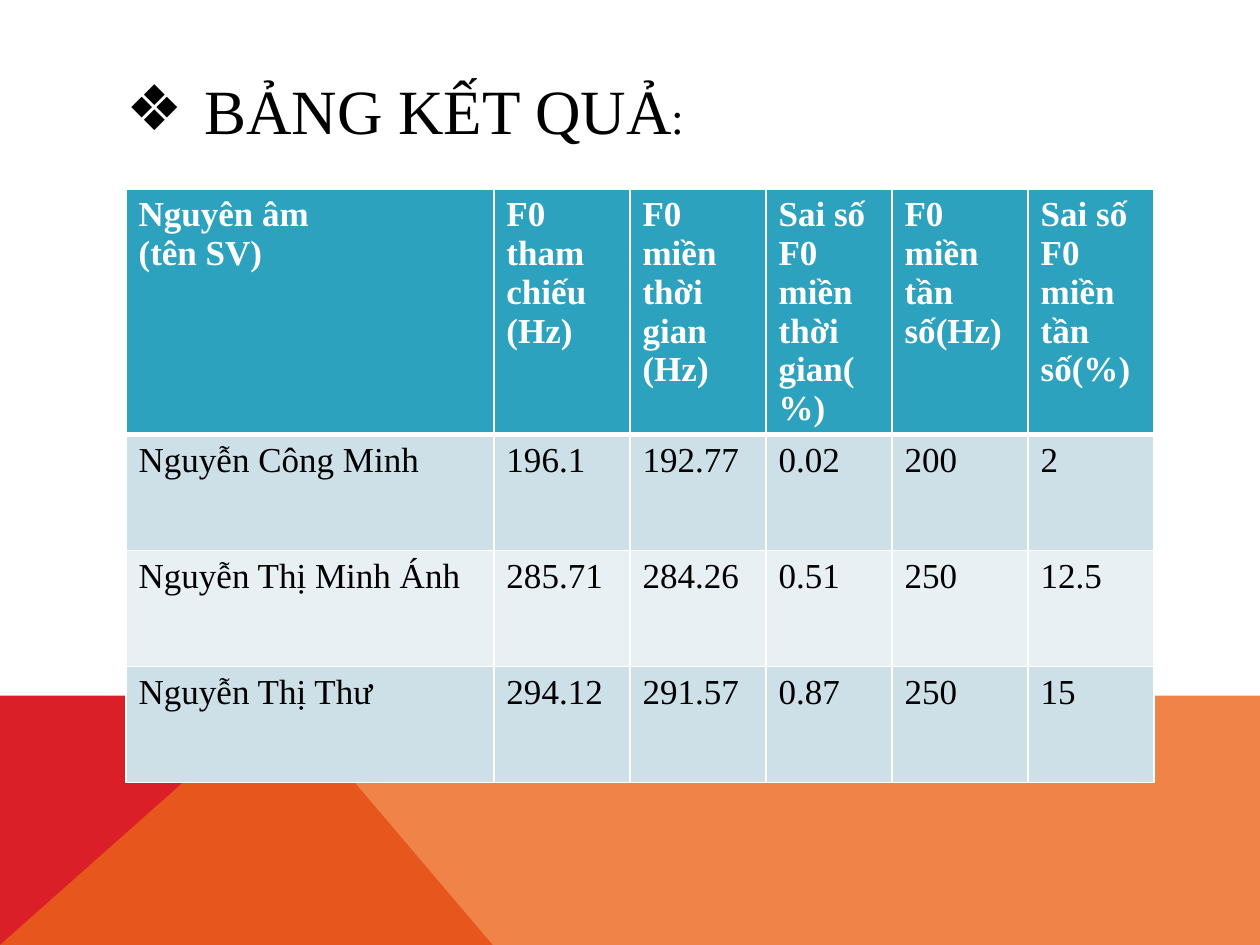
from lxml import etree
from pptx import Presentation
from pptx.dml.color import RGBColor
from pptx.enum.text import MSO_ANCHOR, MSO_AUTO_SIZE, PP_ALIGN
from pptx.oxml.ns import qn
from pptx.util import Inches, Pt

MIDDLE = MSO_ANCHOR.MIDDLE
NO_FIT = MSO_AUTO_SIZE.NONE
LEFT = PP_ALIGN.LEFT
FONT = "Times New Roman"

HEADERS = [
    "Nguyên âm\n(tên SV)",
    "F0 tham chiếu\n(Hz)",
    "F0 miền thời gian\n(Hz)",
    "Sai số F0 miền thời gian(%)",
    "F0\nmiền tần số(Hz)",
    "Sai số F0 miền tần số(%)",
]
RESULTS = [
    ["Nguyễn Công Minh", "196.1", "192.77", "0.02", "200", "2"],
    ["Nguyễn Thị Minh Ánh", "285.71", "284.26", "0.51", "250", "12.5"],
    ["Nguyễn Thị Thư", "294.12", "291.57", "0.87", "250", "15"],
]
COL_WIDTHS = [2.92, 1.08, 1.08, 1, 1.08, 1]
ROW_HEIGHTS = [1.83, 0.92, 0.92, 0.92]


def rgb(value):
    return RGBColor.from_string(value)


def style_run(r, size, color, bold=False):
    r.font.name = FONT
    r.font.size = Pt(size)
    r.font.bold = bold
    r.font.color.rgb = rgb(color)


def add_polygon(s, points, color, alpha=None):
    start, *rest = [(Inches(x), Inches(y)) for x, y in points]
    builder = s.shapes.build_freeform(*start)
    builder.add_line_segments(rest, close=True)
    sp = builder.convert_to_shape()
    sp.shadow.inherit = False
    sp.line.fill.background()
    sp.fill.solid()
    sp.fill.fore_color.rgb = rgb(color)
    if alpha is not None:
        clr = sp.fill._xPr.find(".//" + qn("a:srgbClr"))
        etree.SubElement(clr, qn("a:alpha"), val=str(alpha * 1000))


def add_footer_band(s, x, y, w, h):
    right, bottom, peak = x + w, y + h, x + 2.23
    add_polygon(s, [(x, bottom), (x, y), (peak, y), (x + 3.91, bottom)], "DA1F28")
    add_polygon(s, [(x, bottom), (peak, y), (right, y), (right, bottom)], "EB641B", 80)


def add_title(s, x, y, w, h):
    sp = s.shapes.title
    sp.left, sp.top, sp.width, sp.height = map(Inches, (x, y, w, h))
    tf = sp.text_frame
    tf.auto_size = NO_FIT
    tf.vertical_anchor = MIDDLE
    p = tf.paragraphs[0]
    p.alignment = LEFT
    for text, size in (("BẢNG KẾT QUẢ", 36), (":", 26)):
        r = p.add_run()
        r.text = text
        style_run(r, size, "000000")
    pPr = p._p.get_or_add_pPr()
    pPr.set("marL", str(Inches(0.62)))
    pPr.set("indent", str(Inches(-0.62)))
    etree.SubElement(pPr, qn("a:buFont"), typeface="Arial")
    etree.SubElement(pPr, qn("a:buChar"), char="❖")


def set_borders(cell, top, bottom):
    tcPr = cell._tc.get_or_add_tcPr()
    for side, width in (("L", 1), ("R", 1), ("T", top), ("B", bottom)):
        ln = etree.SubElement(tcPr, qn(f"a:ln{side}"), w=str(Pt(width)))
        fill = etree.SubElement(ln, qn("a:solidFill"))
        etree.SubElement(fill, qn("a:srgbClr"), val="FFFFFF")


def fill_cell(cell, text, row):
    header = row == 0
    set_borders(cell, 3 if row == 1 else 1, 3 if header else 1)
    cell.fill.solid()
    band = "CDE0E8" if row % 2 else "E8F0F4"
    cell.fill.fore_color.rgb = rgb("2DA2BF" if header else band)
    cell.text_frame.text = text
    for p in cell.text_frame.paragraphs:
        for r in p.runs:
            style_run(r, 20, "FFFFFF" if header else "000000", header)


def add_results_table(s, x, y, w, h):
    rows = [HEADERS] + RESULTS
    box = map(Inches, (x, y, w, h))
    table = s.shapes.add_table(len(rows), len(HEADERS), *box).table
    for col, width in zip(table.columns, COL_WIDTHS):
        col.width = Inches(width)
    for row, height in zip(table.rows, ROW_HEIGHTS):
        row.height = Inches(height)
    for i, values in enumerate(rows):
        for j, text in enumerate(values):
            fill_cell(table.cell(i, j), text, i)


def main():
    prs = Presentation()
    prs.slide_width, prs.slide_height = Inches(10), Inches(7.5)
    s = prs.slides.add_slide(prs.slide_layouts[5])
    add_footer_band(s, 0, 5.52, 10, 1.98)
    add_title(s, 0.9, 0.4, 8.22, 0.93)
    add_results_table(s, 1, 1.5, sum(COL_WIDTHS), sum(ROW_HEIGHTS))
    prs.save("out.pptx")


if __name__ == "__main__":
    main()
